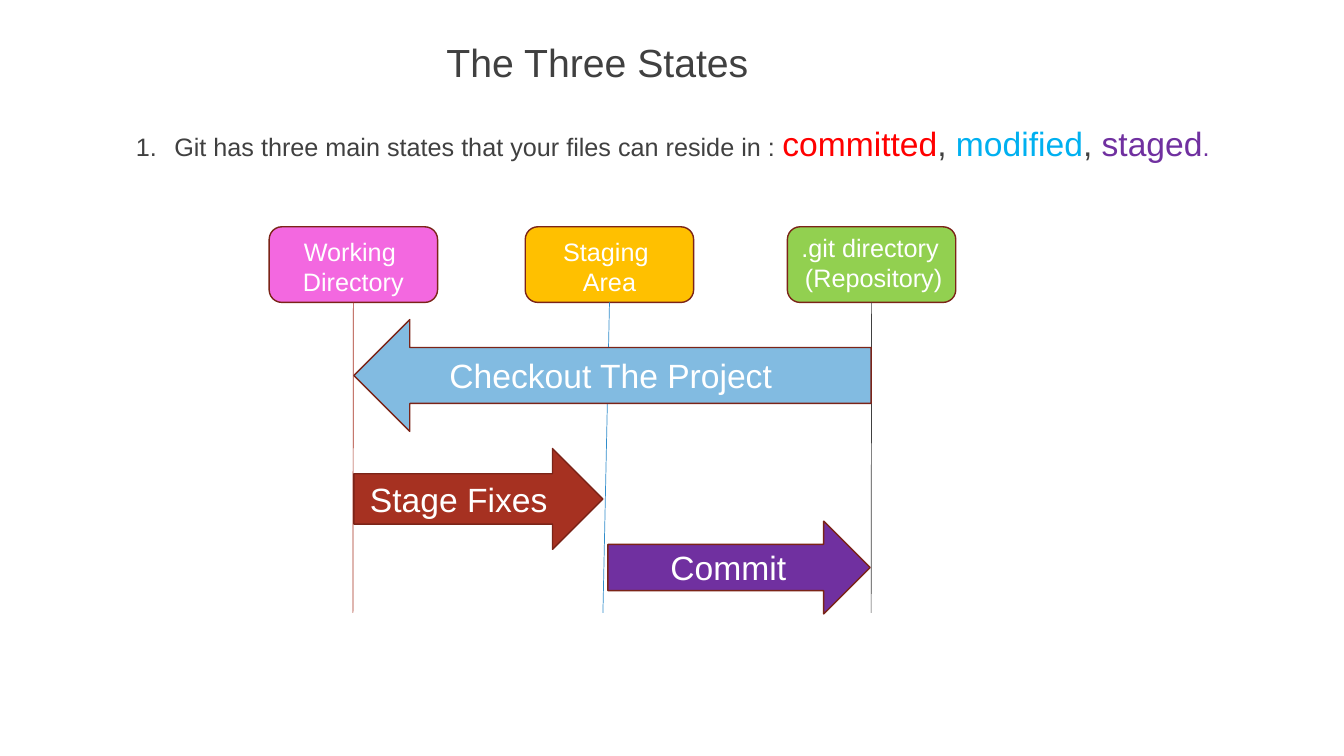
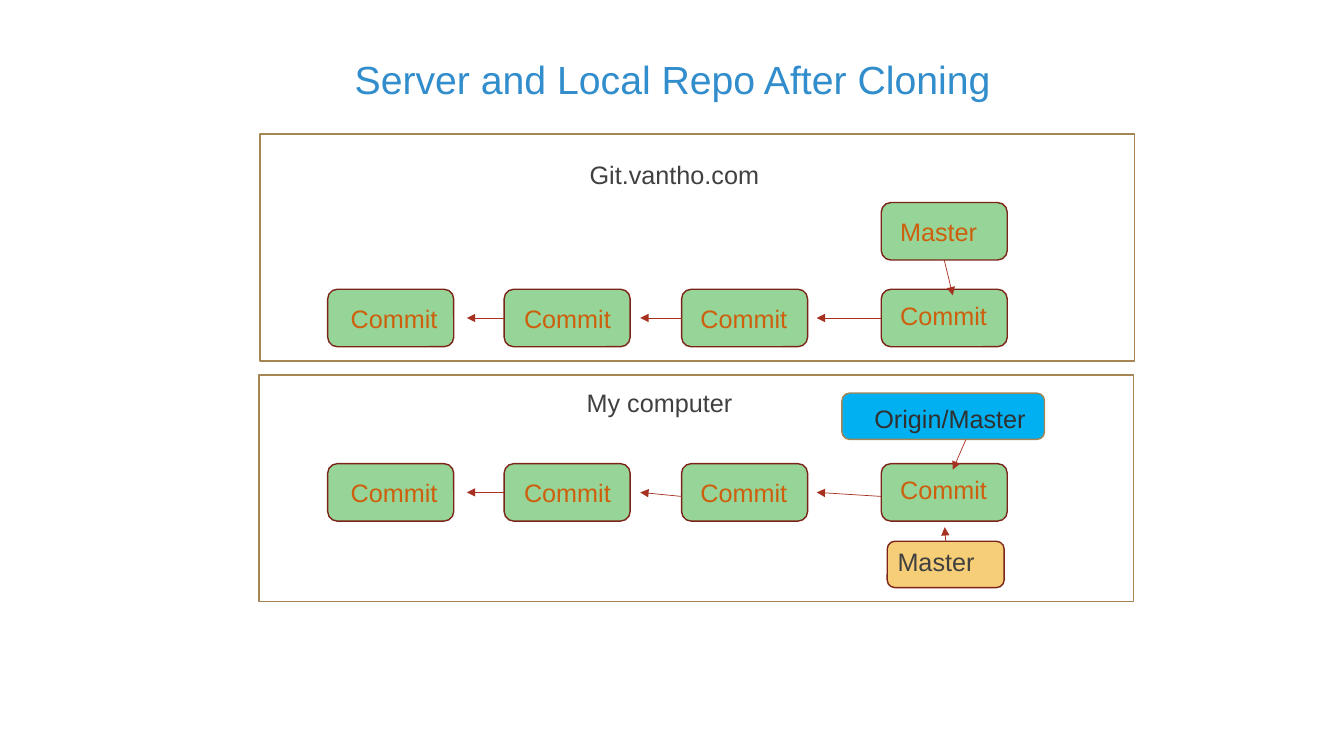
from lxml import etree
from pptx import Presentation
from pptx.dml.color import RGBColor
from pptx.enum import shapes, text
from pptx.oxml import ns
from pptx.util import Inches, Pt

FONT = "Arial"
WHITE = RGBColor(0xFF, 0xFF, 0xFF)
INK = RGBColor(0x40, 0x40, 0x40)
DARK_INK = RGBColor(0x30, 0x30, 0x30)
RED = RGBColor(0xFF, 0x00, 0x00)
SKY = RGBColor(0x00, 0xB0, 0xF0)
PURPLE = RGBColor(0x70, 0x30, 0xA0)
PINK = RGBColor(0xF3, 0x68, 0xE0)
AMBER = RGBColor(0xFF, 0xC0, 0x00)
LIME = RGBColor(0x92, 0xD0, 0x50)
BLUE = RGBColor(0x31, 0x8D, 0xCB)
PALE_BLUE = RGBColor(0x82, 0xBB, 0xE1)
BRICK = RGBColor(0xA6, 0x31, 0x21)
MAROON = RGBColor(0x7B, 0x24, 0x18)
BRONZE = RGBColor(0xA6, 0x85, 0x55)
MINT = RGBColor(0x96, 0xD4, 0x97)
SAND = RGBColor(0xF5, 0xCE, 0x77)
ORANGE = RGBColor(0xCD, 0x5F, 0x0D)

ROUND = shapes.MSO_SHAPE.ROUNDED_RECTANGLE
RECT = shapes.MSO_SHAPE.RECTANGLE
RIGHT = shapes.MSO_SHAPE.RIGHT_ARROW
LEFT = shapes.MSO_SHAPE.LEFT_ARROW
TOP_SIDE, LEFT_SIDE, BOTTOM_SIDE = 0, 1, 2
CENTER = text.PP_ALIGN.CENTER

SUMMARY = [
    ("Git has three main states that your files can reside in : ", 18, INK),
    ("committed", 24, RED), (", ", 24, INK),
    ("modified", 24, SKY), (", ", 24, INK),
    ("staged", 24, PURPLE), (".", 18, PURPLE),
]
# left, fill, lines, insets, foot of the lifeline, lifeline colour
STATES = [
    (2.67, PINK, ["Working ", "Directory"], (0, 0.04, 0, 0), 3.5, BRICK),
    (5.21, AMBER, ["Staging ", "Area"], (0, 0.04, 0, 0), 5.98, BLUE),
    (7.81, LIME, [".git directory ", "(Repository)"], (0.04, 0, 0, 0.04), 8.64, INK),
]
STATE_TOP, STATE_SIZE, LIFELINE_END = 2.25, (1.67, 0.75), 6.08
# label, preset, place, fill, left inset
ACTIONS = [
    ("Checkout The Project", LEFT, (3.51, 3.17, 5.13, 1.11), PALE_BLUE, 0.67),
    ("Stage Fixes", RIGHT, (3.51, 4.45, 2.47, 1), BRICK, 0.16),
    ("Commit", RIGHT, (6.03, 5.17, 2.6, 0.92), PURPLE, 0.62),
]

REPOS = [
    {"name": "Git.vantho.com", "frame": (2.58, 1.33), "name_at": (5.75, 1.53),
     "row": 2.87, "start_drop": (0, 0, 0)},
    {"name": "My computer", "frame": (2.57, 3.72), "name_at": (5.72, 3.79),
     "row": 4.6, "start_drop": (0, 0.04, 0.04)},
]
REPO_SIZE, COMMIT_SIZE = (8.67, 2.25), (1.25, 0.57)
# left, insets
COMMITS = [
    (3.25, (0.2, 0, 0, 0)),
    (5, (0.17, 0, 0, 0)),
    (6.76, (0.16, 0, 0, 0)),
    (8.74, (0.16, 0, 0, 0.05)),
]
ARROW_ENDS = [4.63, 6.35, 8.1]
# label, place, fill, outline, text colour, insets, arrow start (None joins), side, arrow end
BRANCHES = [
    ("Master", (8.74, 2.01, 1.25, 0.57), MINT, MAROON, ORANGE, (0.16, 0, 0, 0),
     None, BOTTOM_SIDE, (9.45, 2.93)),
    ("Origin/Master", (8.35, 3.9, 2.01, 0.46), SKY, BRONZE, DARK_INK, (0.3, 0.04, 0, 0),
     (9.58, 4.36), None, (9.45, 4.66)),
    ("Master", (8.8, 5.37, 1.16, 0.46), SAND, MAROON, INK, (0.08, 0, 0, 0.06),
     None, TOP_SIDE, (9.37, 5.23)),
]


def write(frame, paragraphs, size=18, color=INK, align=text.PP_ALIGN.LEFT,
          anchor=text.MSO_ANCHOR.TOP, insets=(0.1, 0.05, 0.1, 0.05)):
    """Fill a text frame; a paragraph is a string or a list of (text, size, colour) runs."""
    frame.word_wrap = True
    frame.vertical_anchor = anchor
    (frame.margin_left, frame.margin_top,
     frame.margin_right, frame.margin_bottom) = map(Inches, insets)
    for index, content in enumerate(paragraphs):
        paragraph = frame.add_paragraph() if index else frame.paragraphs[0]
        paragraph.alignment = align
        runs = [(content, size, color)] if isinstance(content, str) else content
        for words, run_size, run_color in runs:
            run = paragraph.add_run()
            run.text = words
            run.font.name = FONT
            run.font.size = Pt(run_size)
            run.font.color.rgb = run_color


def add_label(slide, place, paragraphs, **style):
    label = slide.shapes.add_textbox(*map(Inches, place))
    write(label.text_frame, paragraphs, **style)
    return label


def add_title(slide, place, words, color):
    add_label(slide, place, [words], size=28, color=color)


def add_block(slide, preset, place, fill, outline=MAROON, paragraphs=(), **style):
    block = slide.shapes.add_shape(preset, *map(Inches, place))
    block.shadow.inherit = False
    block.fill.solid()
    block.fill.fore_color.rgb = fill
    block.line.color.rgb = outline
    block.line.width = Pt(1)
    write(block.text_frame, paragraphs, anchor=text.MSO_ANCHOR.MIDDLE, **style)
    return block


def add_line(slide, start, end, color=BRICK, source=None, side=None, arrow=True):
    """Draw from start, or from the middle of a side of source when start is None."""
    line = slide.shapes.add_connector(
        shapes.MSO_CONNECTOR.STRAIGHT, *map(Inches, (*(start or end), *end)))
    if start is None:
        line.begin_connect(source, side)
    line.line.color.rgb = color
    line.line.width = Pt(0.5)
    if arrow:
        etree.SubElement(line.line._get_or_add_ln(), ns.qn("a:tailEnd"), type="triangle")
    etree.SubElement(line._element.spPr, ns.qn("a:effectLst"))


def number(paragraph):
    properties = paragraph._p.get_or_add_pPr()
    properties.set("marL", str(Inches(0.38)))
    properties.set("indent", str(-Inches(0.38)))
    etree.SubElement(properties, ns.qn("a:buFont"), typeface=FONT)
    etree.SubElement(properties, ns.qn("a:buAutoNum"), type="arabicPeriod")


def build_states(slide):
    add_title(slide, (4.33, 0.33, 4.08, 0.57), "The Three States", INK)
    summary = add_label(slide, (1.25, 1.17, 11.25, 0.5), [SUMMARY])
    number(summary.text_frame.paragraphs[0])
    for left, fill, lines, insets, foot, color in STATES:
        state = add_block(slide, ROUND, (left, STATE_TOP, *STATE_SIZE), fill,
                          paragraphs=lines, color=WHITE, align=CENTER, insets=insets)
        add_line(slide, None, (foot, LIFELINE_END), color, state, BOTTOM_SIDE, arrow=False)
    for label, preset, place, fill, inset in ACTIONS:
        add_block(slide, preset, place, fill, paragraphs=[label], size=24,
                  color=WHITE, insets=(inset, 0, 0, 0))


def build_repo(slide, repo):
    add_block(slide, RECT, (*repo["frame"], *REPO_SIZE), WHITE, BRONZE)
    add_label(slide, (*repo["name_at"], 2.67, 0.4), [repo["name"]])
    row = repo["row"]
    middle = row + COMMIT_SIZE[1] / 2
    commits = [add_block(slide, ROUND, (left, row, *COMMIT_SIZE), MINT,
                         paragraphs=["Commit"], color=ORANGE, insets=insets)
               for left, insets in COMMITS]
    for (left, _), commit, end, drop in zip(
            COMMITS[1:], commits[1:], ARROW_ENDS, repo["start_drop"]):
        start = (left, middle + drop) if drop else None
        add_line(slide, start, (end, middle), source=commit, side=LEFT_SIDE)


def build_clone(slide):
    add_title(slide, (3.42, 0.5, 8, 0.57), "Server and Local Repo After Cloning", BLUE)
    for repo in REPOS:
        build_repo(slide, repo)
    for label, place, fill, outline, color, insets, start, side, end in BRANCHES:
        branch = add_block(slide, ROUND, place, fill, outline, [label],
                           color=color, insets=insets)
        add_line(slide, start, end, source=branch, side=side)


def main():
    deck = Presentation()
    deck.slide_width, deck.slide_height = Inches(13.33), Inches(7.5)
    for build in (build_states, build_clone):
        build(deck.slides.add_slide(deck.slide_layouts[6]))
    deck.save("out.pptx")


if __name__ == "__main__":
    main()
